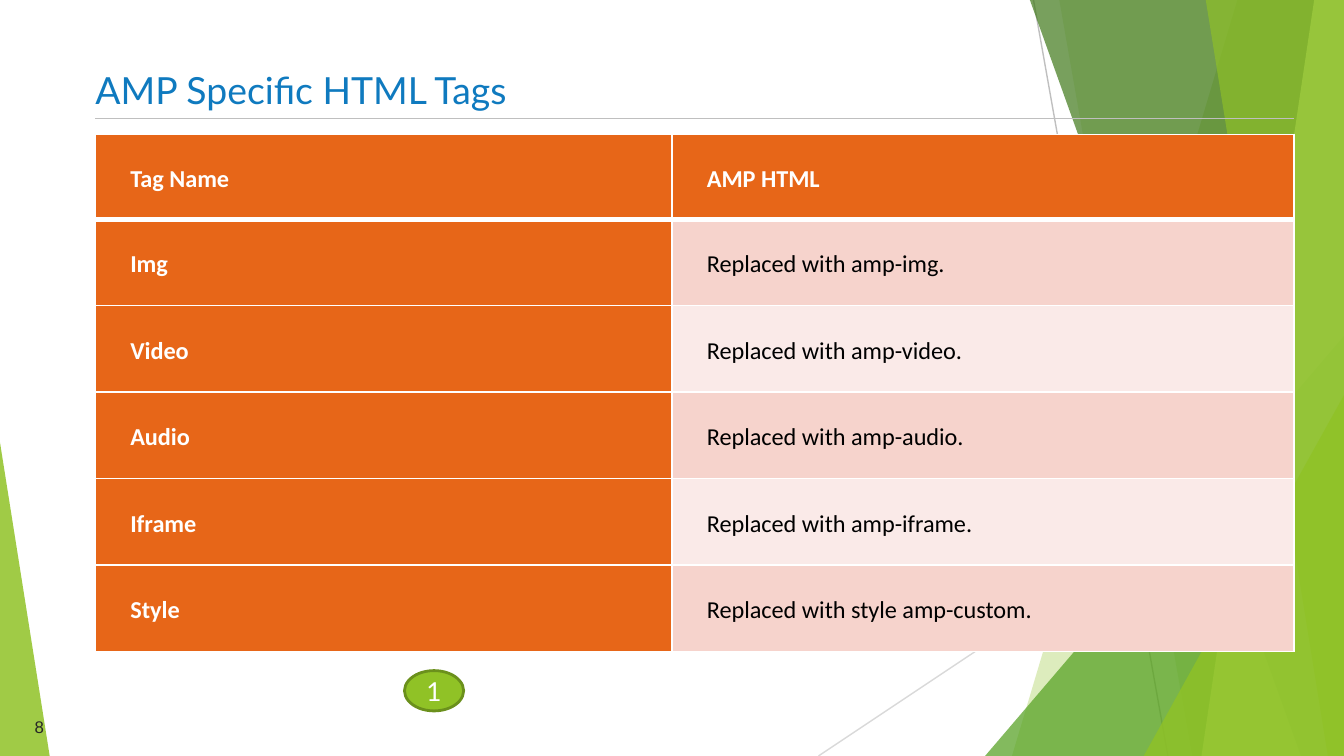
from typing import NamedTuple

import pptx
import pptx.dml.color
import pptx.enum.shapes
import pptx.enum.text
import pptx.oxml
import pptx.oxml.ns
import pptx.util
from lxml import etree

Inches = pptx.util.Inches
Pt = pptx.util.Pt
RGBColor = pptx.dml.color.RGBColor
Shapes = pptx.enum.shapes.MSO_SHAPE
Align = pptx.enum.text.PP_ALIGN
Anchor = pptx.enum.text.MSO_ANCHOR
qn = pptx.oxml.ns.qn

WIDTH = 10
HEIGHT = WIDTH * 9 / 16

WHITE = RGBColor(0xFF, 0xFF, 0xFF)
BLACK = RGBColor(0x00, 0x00, 0x00)
CHARCOAL = RGBColor(0x26, 0x26, 0x26)
GRAY = RGBColor(0xBF, 0xBF, 0xBF)
LIGHT_GRAY = RGBColor(0xD9, 0xD9, 0xD9)
LIME = RGBColor(0x90, 0xC2, 0x26)
PALE_LIME = RGBColor(0xC0, 0xE4, 0x74)
GREEN = RGBColor(0x54, 0xA0, 0x21)
DARK_GREEN = RGBColor(0x3F, 0x78, 0x19)
OLIVE = RGBColor(0x6B, 0x90, 0x1C)
BLUE = RGBColor(0x0F, 0x7A, 0xBF)
ORANGE = RGBColor(0xE7, 0x66, 0x18)
PINK = RGBColor(0xF6, 0xD3, 0xCC)
PALE_PINK = RGBColor(0xFA, 0xEA, 0xE8)


class Band(NamedTuple):
    """A facet between a slanted left edge and the right side of the slide."""
    top_x: float
    bottom_x: float
    color: RGBColor
    opacity: int


class Triangle(NamedTuple):
    left: float
    top: float
    width: float
    apex: float
    color: RGBColor
    opacity: int


class Line(NamedTuple):
    start: tuple[float, float]
    end: tuple[float, float]
    color: RGBColor
    weight: float


BACK_LINES = [
    Line((7.69, 0), (8.69, HEIGHT), GRAY, 0.75),
    Line((WIDTH, 3.02), (6.09, HEIGHT), LIGHT_GRAY, 0.75),
]
FACETS = [
    Band(9.21, 7.53, LIME, 30),
    Band(7.88, 8.87, LIME, 20),
    Triangle(7.33, 2.5, 2.67, 1, GREEN, 72),
    Band(7.66, 9.68, DARK_GREEN, 70),
    Band(9.78, 8.94, PALE_LIME, 70),
    Band(8.97, 9.88, LIME, 65),
    Triangle(8.51, 2.94, 1.49, 1, LIME, 80),
    Triangle(0, 3.29, 0.37, 0, LIME, 85),
]
TITLE_RULE = Line((0.71, 0.88), (9.63, 0.88), GRAY, 0.25)
TAGS = [
    ("Tag Name", "AMP HTML"),
    ("Img", "Replaced with amp-img."),
    ("Video", "Replaced with amp-video."),
    ("Audio", "Replaced with amp-audio."),
    ("Iframe", "Replaced with amp-iframe."),
    ("Style", "Replaced with style amp-custom."),
]


def write_text(text_frame, text: str, *, size: float, font: str, color: RGBColor,
               bold: bool = False, align=Align.LEFT, anchor=Anchor.MIDDLE):
    text_frame.word_wrap = True
    text_frame.vertical_anchor = anchor
    paragraph = text_frame.paragraphs[0]
    paragraph.alignment = align
    run = paragraph.add_run()
    run.text = text
    run.font.size = Pt(size)
    run.font.name = font
    run.font.bold = bold
    run.font.color.rgb = color
    return paragraph


def fill_facet(shape, color: RGBColor, opacity: int) -> None:
    shape.shadow.inherit = False
    shape.line.fill.background()
    shape.fill.solid()
    shape.fill.fore_color.rgb = color
    color_element = shape.fill._xPr.find(".//" + qn("a:srgbClr"))
    etree.SubElement(color_element, qn("a:alpha"), val=str(opacity * 1000))


def draw_facet(slide, facet: Band | Triangle) -> None:
    if isinstance(facet, Band):
        outline = [(facet.top_x, -0.01), (WIDTH, -0.01),
                   (WIDTH, HEIGHT), (facet.bottom_x, HEIGHT)]
        points = [(Inches(x), Inches(y)) for x, y in outline]
        builder = slide.shapes.build_freeform(*points[0])
        builder.add_line_segments(points[1:], close=True)
        shape = builder.convert_to_shape()
    else:
        shape = slide.shapes.add_shape(
            Shapes.ISOSCELES_TRIANGLE, Inches(facet.left), Inches(facet.top),
            Inches(facet.width), Inches(HEIGHT - facet.top))
        shape.adjustments[0] = facet.apex
    fill_facet(shape, facet.color, facet.opacity)


def draw_line(slide, line: Line) -> None:
    connector = slide.shapes.add_connector(
        pptx.enum.shapes.MSO_CONNECTOR.STRAIGHT,
        *(Inches(value) for value in line.start + line.end))
    connector.line.color.rgb = line.color
    connector.line.width = Pt(line.weight)
    etree.SubElement(connector._element.spPr, qn("a:effectLst"))


def set_borders(cell, bottom: float, top: float) -> None:
    properties = cell._tc.get_or_add_tcPr()
    sides = [("L", 1), ("R", 1), ("T", top), ("B", bottom)]
    for index, (side, weight) in enumerate(sides):
        border = etree.Element(qn(f"a:ln{side}"), w=str(Pt(weight)))
        fill = etree.SubElement(border, qn("a:solidFill"))
        etree.SubElement(fill, qn("a:srgbClr"), val=str(WHITE))
        properties.insert(index, border)


def draw_tag_table(slide) -> None:
    header_height, height = 0.63, 3.85
    table = slide.shapes.add_table(
        len(TAGS), 2, Inches(0.71), Inches(1), Inches(8.92), Inches(height)).table
    for column, width in zip(table.columns, (4.29, 4.63)):
        column.width = Inches(width)
    for row_index, texts in enumerate(TAGS):
        table.rows[row_index].height = Inches(
            (height - header_height) / (len(TAGS) - 1) if row_index else header_height)
        for column_index, text in enumerate(texts):
            cell = table.cell(row_index, column_index)
            is_heading = row_index == 0 or column_index == 0
            cell.fill.solid()
            cell.fill.fore_color.rgb = (
                ORANGE if is_heading else PINK if row_index % 2 else PALE_PINK)
            cell.margin_left = cell.margin_right = Inches(0.07)
            cell.margin_top = cell.margin_bottom = 0
            cell.vertical_anchor = Anchor.MIDDLE
            paragraph = write_text(
                cell.text_frame, text, size=13, font="Calibri", bold=is_heading,
                color=WHITE if is_heading else BLACK)
            paragraph.line_spacing = 1.15
            paragraph._p.get_or_add_pPr().set("marL", str(Inches(0.19)))
            set_borders(cell, bottom=1 if row_index else 3,
                        top=3 if row_index == 1 else 1)


def main() -> None:
    presentation = pptx.Presentation()
    presentation.slide_width, presentation.slide_height = Inches(WIDTH), Inches(HEIGHT)
    slide = presentation.slides.add_slide(presentation.slide_layouts[5])

    # Background facets
    for line in BACK_LINES:
        draw_line(slide, line)
    for facet in FACETS:
        draw_facet(slide, facet)

    # Number badge
    badge = slide.shapes.add_shape(
        Shapes.OVAL, Inches(3.01), Inches(4.99), Inches(0.44), Inches(0.3))
    badge.shadow.inherit = False
    badge.fill.solid()
    badge.fill.fore_color.rgb = LIME
    badge.line.color.rgb = OLIVE
    badge.line.width = Pt(1.5)
    badge.text_frame.margin_left = badge.text_frame.margin_right = 0
    badge.text_frame.margin_top = badge.text_frame.margin_bottom = 0
    write_text(badge.text_frame, "1", size=14, font="Lato", color=WHITE,
               align=Align.CENTER)

    draw_tag_table(slide)

    # Title in front of the facets, with its rule
    title = slide.shapes.title
    title.left, title.top = Inches(0.61), Inches(0.45)
    title.width, title.height = Inches(7.72), Inches(0.43)
    write_text(title.text_frame, "AMP Specific HTML Tags", size=20, font="Lato",
               color=BLUE)
    slide.shapes._spTree.append(title._element)
    draw_line(slide, TITLE_RULE)

    # Slide number
    number = slide.shapes.add_textbox(
        Inches(0.16), Inches(5.28), Inches(0.35), Inches(0.25))
    write_text(number.text_frame, "8", size=9, font="Arial", color=CHARCOAL)

    presentation.save("out.pptx")


if __name__ == "__main__":
    main()
